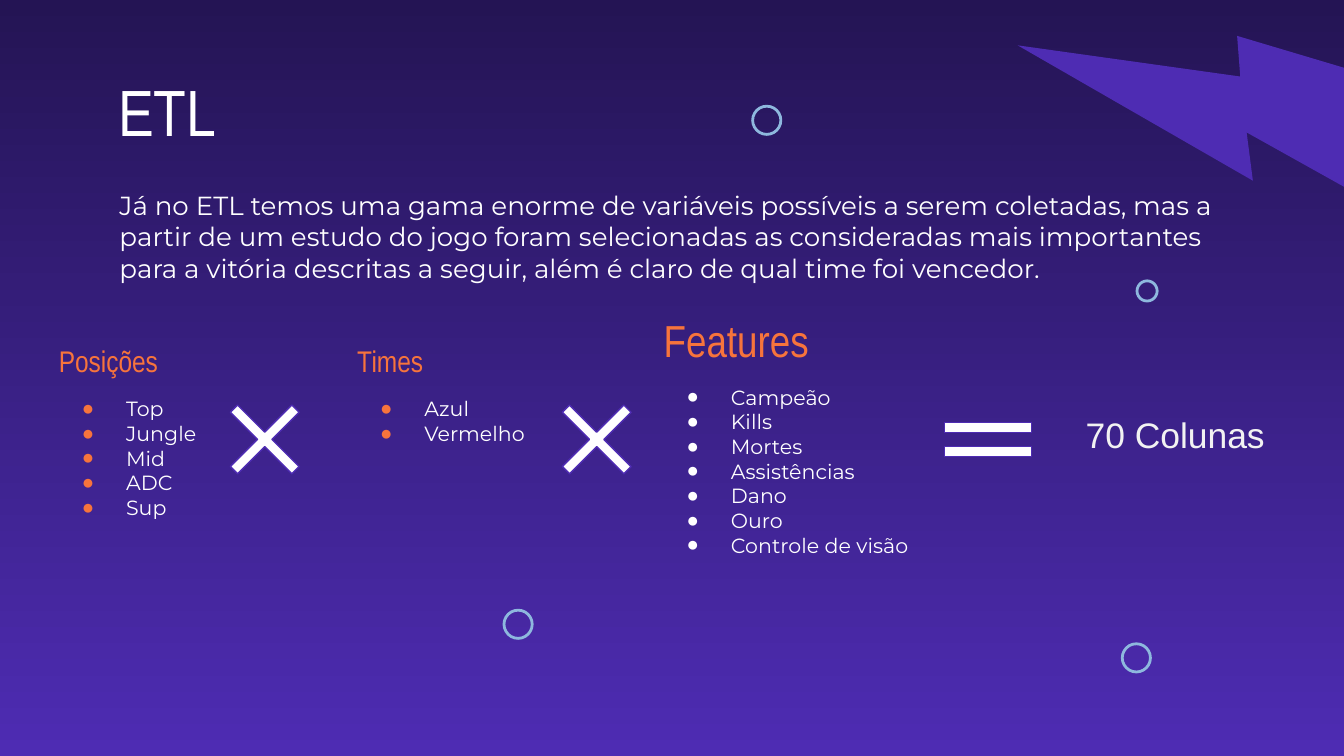
"""Build the ETL slide: positions times teams times features gives 70 columns."""
import pptx
import pptx.util
import pptx.dml.color
import pptx.enum.shapes
import pptx.enum.text
import pptx.oxml
import pptx.oxml.ns
import lxml.etree

Inches = pptx.util.Inches
Pt = pptx.util.Pt
RGBColor = pptx.dml.color.RGBColor
Shape = pptx.enum.shapes.MSO_SHAPE
qn = pptx.oxml.ns.qn

NIGHT = RGBColor(0x24, 0x14, 0x54)
VIOLET = RGBColor(0x4E, 0x2C, 0xB3)
WHITE = RGBColor(0xFF, 0xFF, 0xFF)
PALE = RGBColor(0xF2, 0xF2, 0xF2)
CORAL = RGBColor(0xF7, 0x74, 0x3C)
SKY = RGBColor(0x8E, 0xB8, 0xDE)

TITLE = "ETL"
INTRO = (
    "Já no ETL temos uma gama enorme de variáveis possíveis a serem coletadas, "
    "mas a partir de um estudo do jogo foram selecionadas as consideradas mais "
    "importantes para a vitória descritas a seguir, além é claro de qual time "
    "foi vencedor."
)
RESULT = "70 Colunas"
LISTS = [
    ("Features", 24, WHITE, (4.84, 2.23, 2.14, 2.6),
     ["Campeão", "Kills", "Mortes", "Assistências", "Dano", "Ouro",
      "Controle de visão"]),
    ("Posições", 16, CORAL, (0.34, 2.45, 1.43, 1.64),
     ["Top", "Jungle", "Mid", "ADC", "Sup"]),
    ("Times", 16, CORAL, (2.56, 2.45, 1.76, 1.64), ["Azul", "Vermelho"]),
]
RINGS = [(8.46, 2.09, 0.15), (8.35, 4.79, 0.21), (5.6, 0.79, 0.21), (3.75, 4.54, 0.21)]
SIGNS = [
    (Shape.MATH_MULTIPLY, 1.53, [0.086]),
    (Shape.MATH_MULTIPLY, 4, [0.086]),
    (Shape.MATH_EQUAL, 6.91, [0.085, 0.118]),
]


def style(para, size, face, color):
    para.alignment = pptx.enum.text.PP_ALIGN.LEFT
    for run in para.runs:
        run.font.size = Pt(size)
        run.font.name = face
        run.font.color.rgb = color


def setup(frame):
    frame.word_wrap = True
    frame.auto_size = pptx.enum.text.MSO_AUTO_SIZE.NONE
    frame.vertical_anchor = pptx.enum.text.MSO_ANCHOR.TOP
    frame.margin_left = frame.margin_right = Inches(0.1)
    frame.margin_top = frame.margin_bottom = Inches(0.1)


def add_text(slide, box, text, size, face, color):
    frame = slide.shapes.add_textbox(*map(Inches, box)).text_frame
    setup(frame)
    frame.text = text
    style(frame.paragraphs[0], size, face, color)
    return frame


def add_bullet(para, color):
    props = para._p.get_or_add_pPr()
    props.set("marL", str(Inches(0.5)))
    props.set("indent", str(Inches(-0.33)))
    tint = lxml.etree.SubElement(props, qn("a:buClr"))
    lxml.etree.SubElement(tint, qn("a:srgbClr")).set("val", str(color))
    lxml.etree.SubElement(props, qn("a:buFont")).set("typeface", "Arial")
    lxml.etree.SubElement(props, qn("a:buChar")).set("char", "●")


def add_list(slide, head, size, dot, box, items):
    frame = add_text(slide, box, head, size, "Arial Narrow", CORAL)
    frame.paragraphs[0].space_after = Pt(9.5)
    for item in items:
        para = frame.add_paragraph()
        para.text = item
        style(para, 11, "Montserrat", WHITE)
        add_bullet(para, dot)


def add_form(slide, kind, left, top, side, fill=None, line=None, width=0.75):
    form = slide.shapes.add_shape(kind, *map(Inches, (left, top, side, side)))
    form.shadow.inherit = False
    if fill is None:
        form.fill.background()
    else:
        form.fill.solid()
        form.fill.fore_color.rgb = fill
    if line is None:
        form.line.fill.background()
    else:
        form.line.color.rgb = line
        form.line.width = Pt(width)
    return form


def main():
    deck = pptx.Presentation()
    deck.slide_width = Inches(10)
    deck.slide_height = Inches(10) * 9 // 16
    slide = deck.slides.add_slide(deck.slide_layouts[5])

    back = slide.background.fill
    back.gradient()
    back.gradient_angle = 270
    for stop, color in zip(back.gradient_stops, (NIGHT, VIOLET)):
        stop.color.rgb = color

    bolt = add_form(slide, Shape.LIGHTNING_BOLT, 8.17, -0.7, 3.26, VIOLET)
    bolt.rotation = 59.9
    bolt._element.spPr.xfrm.set("flipH", "1")

    title = slide.shapes.title
    title.left, title.top, title.width, title.height = map(
        Inches, (0.78, 0.43, 8.43, 0.64))
    setup(title.text_frame)
    title.text_frame.text = TITLE
    style(title.text_frame.paragraphs[0], 35, "Arial Narrow", WHITE)

    add_text(slide, (0.79, 1.31, 8.42, 0.92), INTRO, 14, "Montserrat", WHITE)
    for group in LISTS:
        add_list(slide, *group)
    for left, top, side in RINGS:
        add_form(slide, Shape.OVAL, left, top, side, line=SKY, width=1.5)
    for kind, left, sizes in SIGNS:
        sign = add_form(slide, kind, left, 2.83, 0.88, WHITE, VIOLET)
        for place, size in enumerate(sizes):
            sign.adjustments[place] = size
    add_text(slide, (7.98, 2.97, 1.97, 0.52), RESULT, 19, "Arial", PALE)

    deck.save("out.pptx")


if __name__ == "__main__":
    main()
